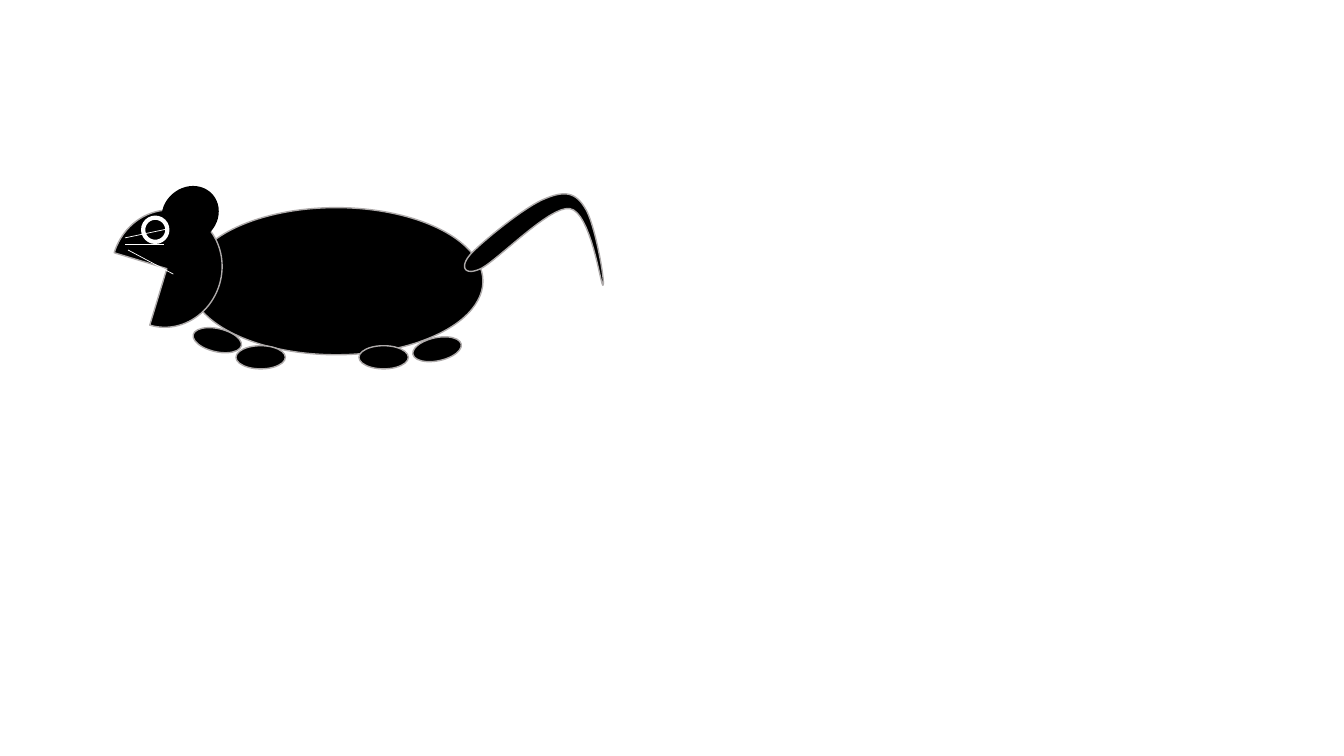
from lxml import etree
from pptx import Presentation
from pptx.dml.color import RGBColor
from pptx.enum.shapes import MSO_CONNECTOR, MSO_SHAPE
from pptx.oxml.ns import qn
from pptx.util import Inches, Pt

OVAL, PIE, CHORD = MSO_SHAPE.OVAL, MSO_SHAPE.PIE, MSO_SHAPE.CHORD
LINE = MSO_CONNECTOR.STRAIGHT
BLACK = RGBColor(0x00, 0x00, 0x00)
GRAY = RGBColor(0xAF, 0xAB, 0xAB)
WHITE = RGBColor(0xFF, 0xFF, 0xFF)

CELL = Inches(0.1)
STEPS = 16

BODY = (18.8, 20.6, 29.1, 14.6)
FEET = (19.1, 32.6, 26.7, 4)
TAIL = (46.1, 19.2, 13.8, 9.1)
HEAD = (11.1, 19, 11, 13.5)

PAWS = [(0, 0, 12.9), (4.3, 1.7, 0), (21.8, 0.9, 348.1), (16.5, 1.7, 0)]
ROOT = (0.6, 6)
CURVES = [
    ((1.7, 4.8), (6.1, 1.2), (8, 0.5)),
    ((9.9, -0.3), (11, -0.1), (11.9, 1.4)),
    ((12.9, 2.8), (14, 9.1), (13.7, 9.1)),
    ((13.5, 9.2), (12.5, 1.8), (10.4, 1.5)),
    ((8.4, 1.2), (3.1, 6.8), (1.5, 7.5)),
    ((-0.1, 8.2), (-0.5, 7.2), ROOT),
]
HAIRS = [(1.3, 4.6, 5.6, 3.7), (1.3, 5.2, 5.2, 5.2), (1.6, 5.8, 6.1, 8.2)]


def spot(box, x, y):
    """Turn a grid point inside a box into slide lengths."""
    return round((box[0] + x) * CELL), round((box[1] + y) * CELL)


def paint(shape, color=GRAY, weight=1):
    """Give a shape a black fill and an outline."""
    shape.shadow.inherit = False
    shape.fill.solid()
    shape.fill.fore_color.rgb = BLACK
    shape.line.color.rgb = color
    shape.line.width = Pt(weight)


def part(slide, box, kind, x, y, wide, high, turn=0, color=GRAY, weight=1):
    """Add one preset shape at a grid place inside a box."""
    shape = slide.shapes.add_shape(
        kind, *spot(box, x, y), round(wide * CELL), round(high * CELL))
    shape.rotation = turn
    paint(shape, color, weight)


def bend(start, one, two, end):
    """List the points along a cubic curve."""
    points = []
    for step in range(1, STEPS + 1):
        t = step / STEPS
        u = 1 - t
        points.append(tuple(
            u**3 * a + 3 * u * u * t * b + 3 * u * t * t * c + t**3 * d
            for a, b, c, d in zip(start, one, two, end)))
    return points


def body(slide, box):
    """Draw the trunk."""
    part(slide, box, OVAL, 0, 0, box[2], box[3])


def feet(slide, box):
    """Draw the four paws."""
    for x, y, turn in PAWS:
        part(slide, box, OVAL, x, y, 4.9, 2.3, turn)


def tail(slide, box):
    """Draw the curved tail."""
    points = [ROOT]
    for curve in CURVES:
        points += bend(points[-1], *curve)
    spots = [spot(box, x, y) for x, y in points]
    form = slide.shapes.build_freeform(*spots[0])
    form.add_line_segments(spots[1:], close=True)
    paint(form.convert_to_shape())


def head(slide, box):
    """Draw the face, eye, ear and whiskers."""
    part(slide, box, PIE, 0, 1.8, 10.9, 11.7, 196.8)
    part(slide, box, OVAL, 3.1, 2.6, 2.4, 2.4, 0, WHITE, 3)
    part(slide, box, CHORD, 5.2, 0, 5.1, 4.5, 139, BLACK, 6)
    for x, y, right, low in HAIRS:
        hair = slide.shapes.add_connector(
            LINE, *spot(box, x, y), *spot(box, right, low))
        hair.line.color.rgb = WHITE
        hair.line.width = Pt(0.5)
        etree.SubElement(hair._element.spPr, qn("a:effectLst"))


def main():
    """Build the slide and save it."""
    deck = Presentation()
    deck.slide_width, deck.slide_height = Inches(13.33), Inches(7.5)
    slide = deck.slides.add_slide(deck.slide_layouts[6])
    body(slide, BODY)
    feet(slide, FEET)
    tail(slide, TAIL)
    head(slide, HEAD)
    deck.save("out.pptx")


if __name__ == "__main__":
    main()
